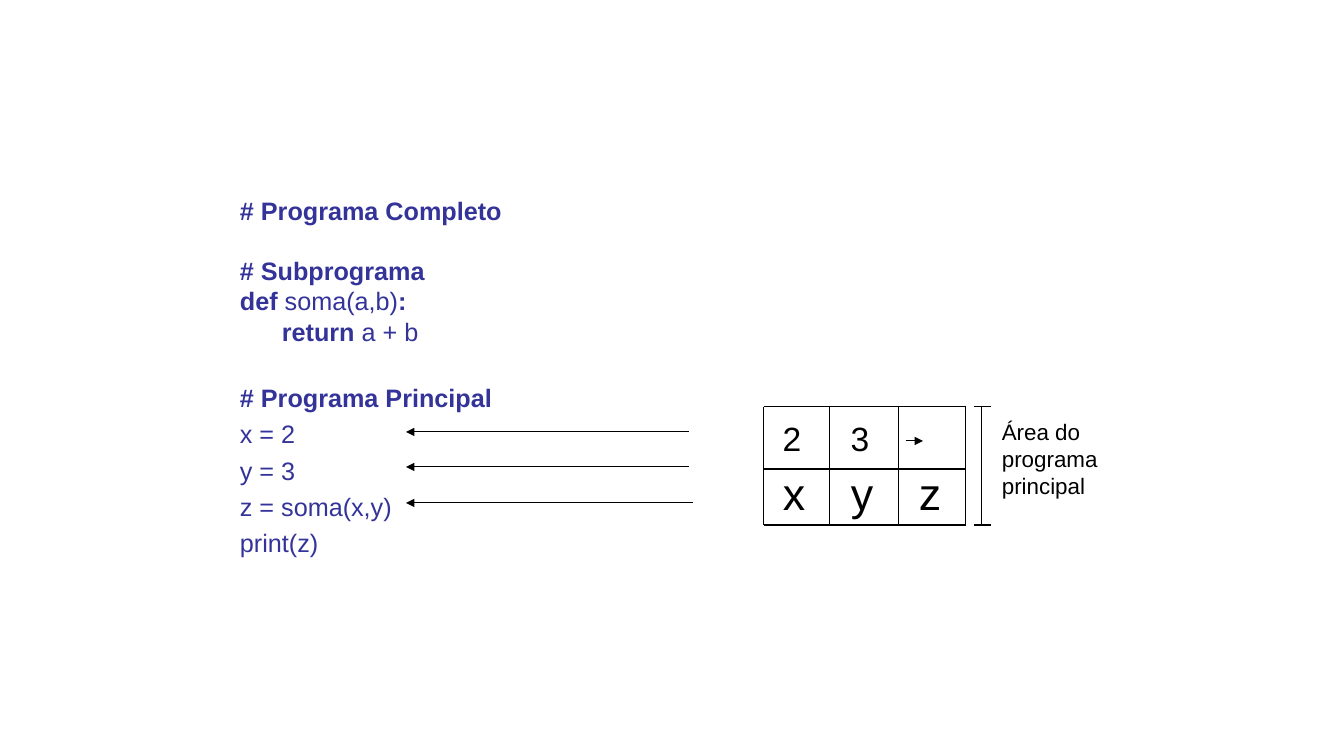
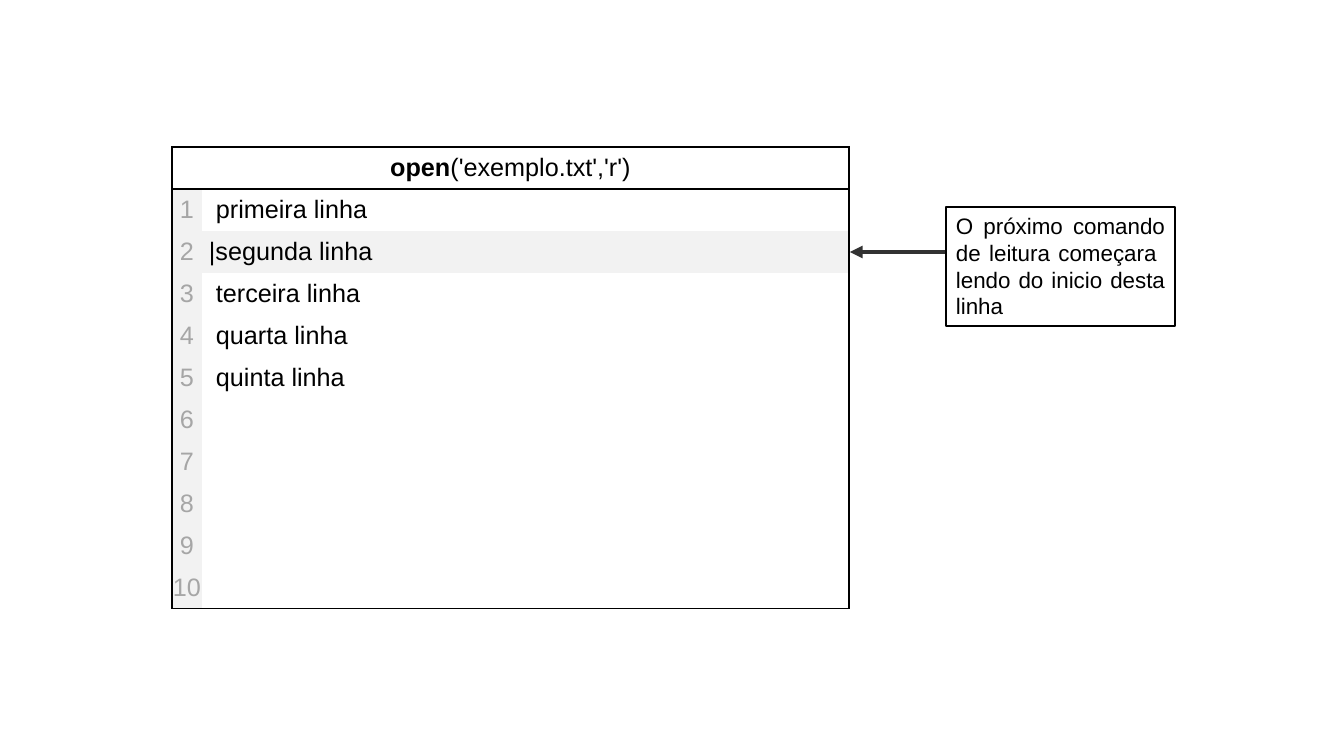
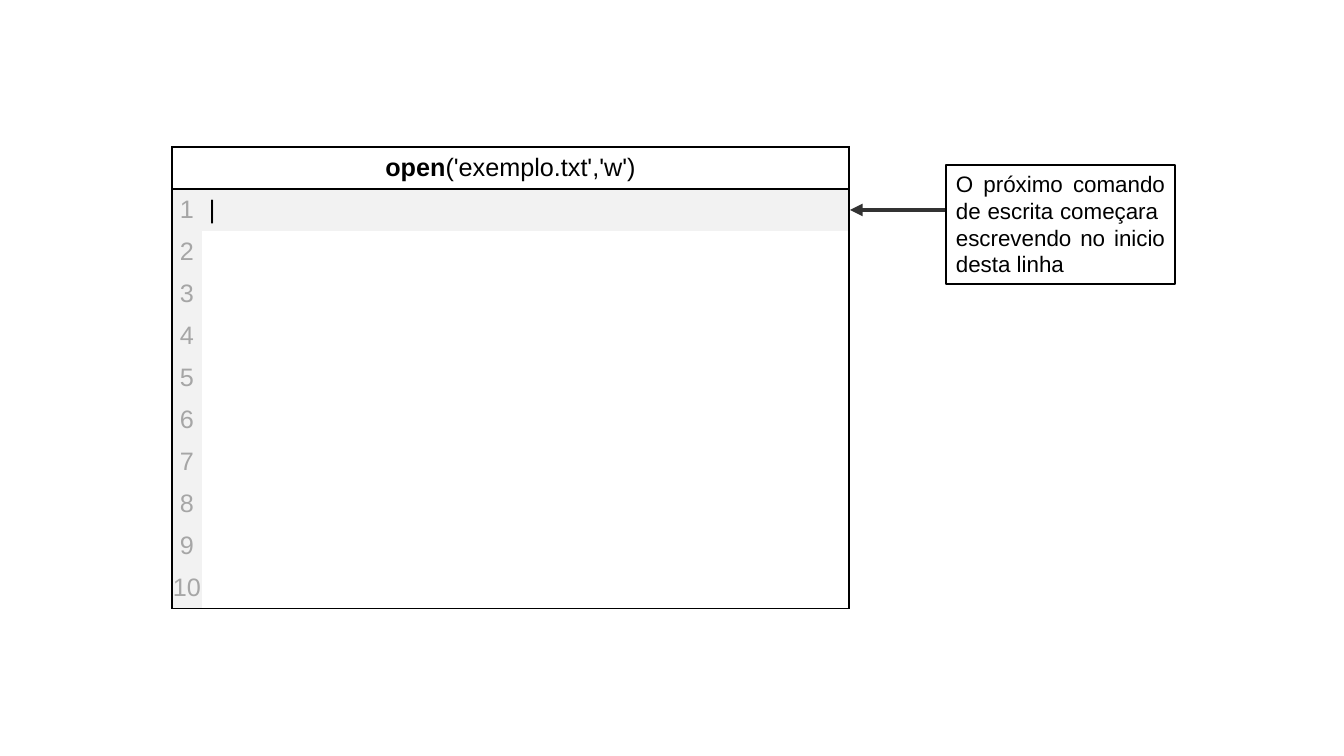
from lxml import etree
from pptx import Presentation
from pptx.dml.color import RGBColor
from pptx.enum.shapes import MSO_CONNECTOR, MSO_SHAPE
from pptx.enum.text import MSO_ANCHOR, PP_ALIGN
from pptx.oxml.ns import qn
from pptx.util import Emu, Pt

LEFT, CENTER, JUSTIFY = PP_ALIGN.LEFT, PP_ALIGN.CENTER, PP_ALIGN.JUSTIFY
TOP, MIDDLE = MSO_ANCHOR.TOP, MSO_ANCHOR.MIDDLE
STRAIGHT, RECT = MSO_CONNECTOR.STRAIGHT, MSO_SHAPE.RECTANGLE

BLACK = RGBColor(0x00, 0x00, 0x00)
WHITE = RGBColor(0xFF, 0xFF, 0xFF)
NAVY = RGBColor(0x33, 0x33, 0x99)
DARK = RGBColor(0x32, 0x32, 0x32)
PALE = RGBColor(0xF2, 0xF2, 0xF2)
GREY = RGBColor(0xA6, 0xA6, 0xA6)
FONT = "Arial"
SLIDE_W, SLIDE_H = 1344, 756

# Code: each line is a list of (text, bold) runs
HEADER_CODE = [
    [("# Programa Completo", True)],
    [("# Subprograma", True)],
    [("def", True), (" soma(a,b)", False), (":", True)],
    [("      return", True), (" a + b", False)],
]
MAIN_CODE = [
    [("# Programa Principal", True)],
    [("x = 2", False)],
    [("y = 3", False)],
    [("z = soma(x,y)", False)],
    [("print(z)", False)],
]
BLANK_LINE_BEFORE = (1, 4)
CODE_ARROWS = [(689, 432), (689, 467), (693, 503)]  # start x, y
CODE_ARROW_END = 406

# Memory area of the main program
VALUES, NAMES = ["2", "3"], ["x", "y", "z"]
MEMORY_XS, MEMORY_YS = [764, 830, 899, 966], [407, 469, 525]
MEMORY_STEP = 68
MEMORY_LABEL = ["Área do", "programa", "principal"]

# File views: command arguments, lines, cursor row, callout
FILES = [
    ("('exemplo.txt','r')",
     ["primeira linha", "|segunda linha", "terceira linha", "quarta linha",
      "quinta linha"], 2,
     "O próximo comando de leitura começara  lendo do inicio desta linha"),
    ("('exemplo.txt','w')", ["|"], 1,
     "O próximo comando de escrita começara  escrevendo no inicio desta linha"),
]
FILE_X, FILE_Y, FILE_ROW, FILE_LINES = 172, 147, 42, 10
FILE_COLS = [30, 647]
CALLOUT_X, CALLOUT_W, CALLOUT_H, CALLOUT_RISE = 946, 229, 119, 45


def px(n):
    return Emu(round(n * 914400 / 100.8))


def write(tf, lines, size=18, color=BLACK, align=LEFT):
    """Fill a text frame; a line is a string or a list of (text, bold) runs."""
    for i, line in enumerate(lines):
        p = tf.paragraphs[0] if i == 0 else tf.add_paragraph()
        p.alignment = align
        for text, bold in [(line, False)] if isinstance(line, str) else line:
            r = p.add_run()
            r.text = text
            r.font.name, r.font.size = FONT, Pt(size)
            r.font.bold, r.font.color.rgb = bold, color


def add_text(s, x, y, w, h, lines, **fmt):
    tf = s.shapes.add_textbox(px(x), px(y), px(w), px(h)).text_frame
    tf.word_wrap = True
    write(tf, lines, **fmt)
    return tf


def add_line(s, x1, y1, x2, y2, color=BLACK, width=0.75, arrow=False):
    sp = s.shapes.add_connector(STRAIGHT, px(x1), px(y1), px(x2), px(y2))
    sp.line.color.rgb, sp.line.width = color, Pt(width)
    if arrow:
        etree.SubElement(sp.line._get_or_add_ln(), qn("a:tailEnd"), type="triangle")
    etree.SubElement(sp._element.spPr, qn("a:effectLst"))


def add_grid(s, x, y, cols, rows):
    table = s.shapes.add_table(len(rows), len(cols), px(x), px(y),
                               px(sum(cols)), px(sum(rows))).table
    table.first_row = table.horz_banding = False
    for column, w in zip(table.columns, cols):
        column.width = px(w)
    for row, h in zip(table.rows, rows):
        row.height = px(h)
    return table


def style_cell(cell, edges, fill=WHITE, left=0):
    """Draw only the named edges (L, R, T, B), then fill and set margins."""
    cell.margin_left = px(left)
    cell.margin_right = cell.margin_top = cell.margin_bottom = 0
    cell.vertical_anchor = MIDDLE
    tcPr = cell._tc.get_or_add_tcPr()
    for edge in "LRTB":
        ln = etree.SubElement(tcPr, qn("a:ln" + edge), w=str(Pt(1)))
        if edge in edges:
            solid = etree.SubElement(ln, qn("a:solidFill"))
            etree.SubElement(solid, qn("a:srgbClr"), val=str(BLACK))
        else:
            etree.SubElement(ln, qn("a:noFill"))
    cell.fill.solid()
    cell.fill.fore_color.rgb = fill


def program_slide(s):
    # Code
    tf = add_text(s, 230, 190, 286, 376, HEADER_CODE + MAIN_CODE, color=NAVY)
    for i, p in enumerate(tf.paragraphs):
        if i in BLANK_LINE_BEFORE:
            p.space_before = Pt(21.6)
        if i >= len(HEADER_CODE):
            p.line_spacing = 1.2
    for x, y in CODE_ARROWS:
        add_line(s, x, y, CODE_ARROW_END, y, arrow=True)

    # Memory cells: rules are split at each column, as cells sit side by side
    left, right = MEMORY_XS[0], MEMORY_XS[-1]
    top, middle, bottom = MEMORY_YS
    for x in MEMORY_XS:
        add_line(s, x, top, x, bottom)
    for y in (top, bottom):
        add_line(s, left, y, right, y)
    for x1, x2 in zip(MEMORY_XS, MEMORY_XS[1:]):
        add_line(s, x1, middle, x2, middle)
    for j, value in enumerate(VALUES):
        add_text(s, 768 + j * MEMORY_STEP, 413, 48, 50, [value],
                 size=24, align=CENTER)
    for j, name in enumerate(NAMES):
        add_text(s, 773 + j * MEMORY_STEP, 461, 54, 64, [name], size=32)
    add_line(s, 906, 441, 923, 441, arrow=True)

    # Bracket and label
    add_line(s, 982, top, 982, bottom)
    for y in (top, bottom):
        add_line(s, 974, y, 991, y)
    add_text(s, 992, 413, 122, 91, MEMORY_LABEL, size=16)


def file_slide(s, arguments, lines, cursor, note):
    # File view
    table = add_grid(s, FILE_X, FILE_Y, FILE_COLS, [FILE_ROW] * (FILE_LINES + 1))
    table.cell(0, 0).merge(table.cell(0, 1))
    for j in (0, 1):
        style_cell(table.cell(0, j), "LRTB")
    write(table.cell(0, 0).text_frame, [[("open", True), (arguments, False)]],
          align=CENTER)
    for n in range(1, FILE_LINES + 1):
        edges = {1: "T", FILE_LINES: "B"}.get(n, "")
        text = lines[n - 1] if n <= len(lines) else ""
        number, content = table.cell(n, 0), table.cell(n, 1)
        style_cell(number, edges + "L", fill=PALE)
        write(number.text_frame, [str(n)], color=GREY, align=CENTER)
        style_cell(content, edges + "R", fill=PALE if n == cursor else WHITE,
                   left=7 if text.startswith("|") else 14)
        if text:
            write(content.text_frame, [text])

    # Callout pointing at the cursor row
    y = FILE_Y + FILE_ROW * cursor + FILE_ROW // 2
    add_line(s, CALLOUT_X, y, FILE_X + sum(FILE_COLS) + 1, y,
             color=DARK, width=3, arrow=True)
    sp = s.shapes.add_shape(RECT, px(CALLOUT_X), px(y - CALLOUT_RISE),
                            px(CALLOUT_W), px(CALLOUT_H))
    sp.shadow.inherit = False
    sp.fill.solid()
    sp.fill.fore_color.rgb = WHITE
    sp.line.color.rgb, sp.line.width = BLACK, Pt(1)
    tf = sp.text_frame
    tf.word_wrap, tf.vertical_anchor = True, TOP
    write(tf, [note], size=16, align=JUSTIFY)


def main():
    prs = Presentation()
    prs.slide_width, prs.slide_height = px(SLIDE_W), px(SLIDE_H)
    blank = prs.slide_layouts[6]
    program_slide(prs.slides.add_slide(blank))
    for file in FILES:
        file_slide(prs.slides.add_slide(blank), *file)
    prs.save("out.pptx")


if __name__ == "__main__":
    main()
